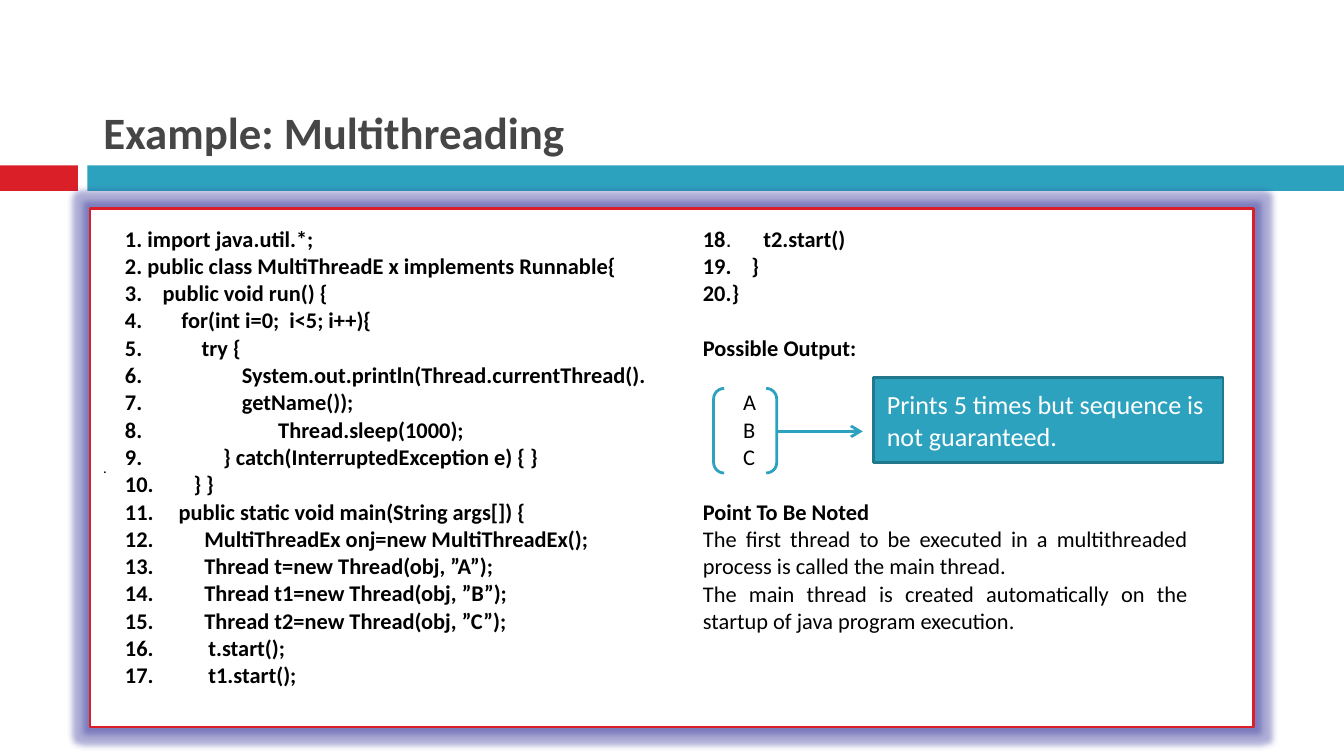
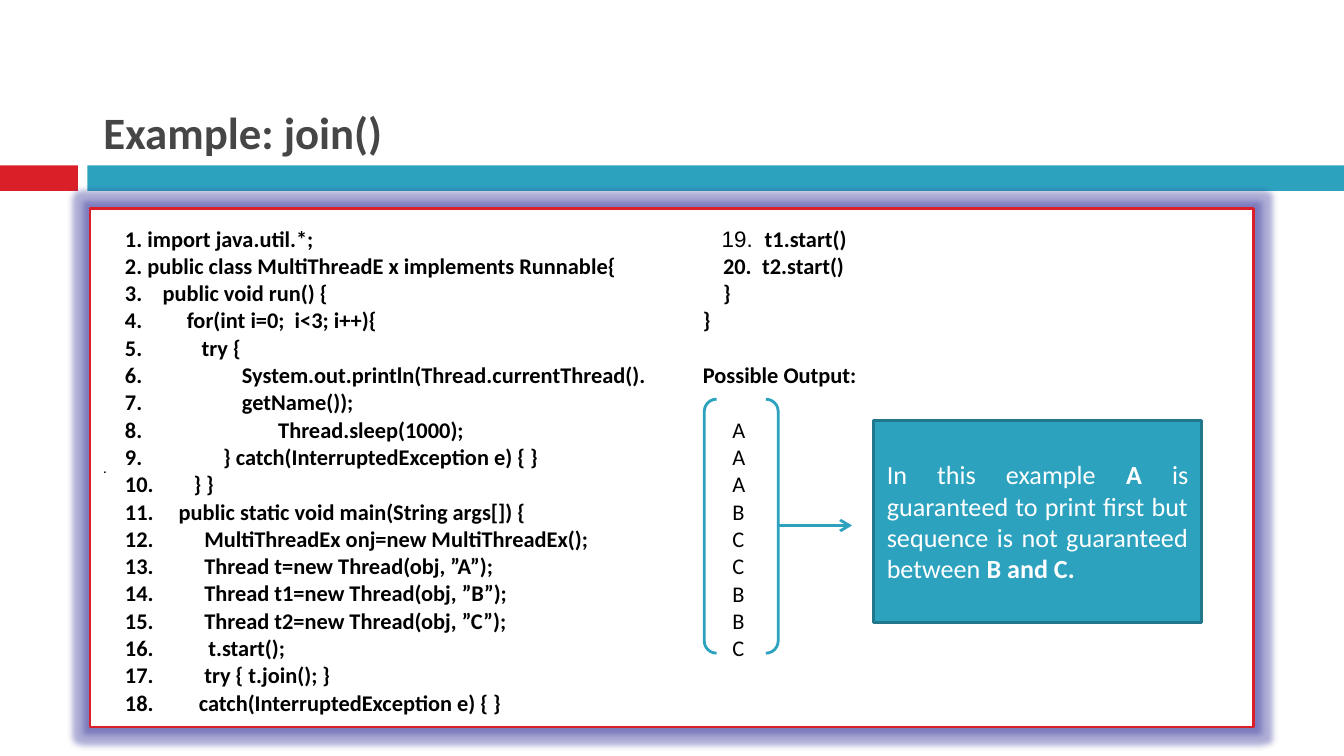
import pptx
import pptx.dml.color
import pptx.enum.shapes
import pptx.enum.text
import pptx.oxml
import pptx.oxml.ns
import pptx.util
from lxml import etree

Inches = pptx.util.Inches
Pt = pptx.util.Pt
rgb = pptx.dml.color.RGBColor.from_string
qn = pptx.oxml.ns.qn
Shape = pptx.enum.shapes.MSO_SHAPE
Align = pptx.enum.text.PP_ALIGN
Anchor = pptx.enum.text.MSO_ANCHOR

RED, TEAL, EDGE, GLOW = "DA1F28", "2DA2BF", "21788D", "333399"
GRAY, BLACK, WHITE = "464646", "000000", "FFFFFF"
FONT = "Calibri"
LINE = 14.65


def write(frame, text, size=12, bold=False, color=BLACK, align=Align.LEFT,
          left=0, hang=0, before=0):
    para = frame.paragraphs[0]
    if para.runs:
        para = frame.add_paragraph()
    para.alignment = align
    para.space_before = Pt(before)
    props = para._p.get_or_add_pPr()
    props.set("marL", str(Inches(left)))
    props.set("indent", str(Inches(-hang)))
    runs = [(text, bold, FONT)] if isinstance(text, str) else text
    for words, heavy, face in runs:
        run = para.add_run()
        run.text = words
        run.font.name = face
        run.font.size = Pt(size)
        run.font.bold = heavy
        run.font.color.rgb = rgb(color)


def block(slide, kind, at, fill=None, line=None):
    shape = slide.shapes.add_shape(kind, *[Inches(n) for n in at])
    shape.shadow.inherit = False
    if fill:
        shape.fill.solid()
        shape.fill.fore_color.rgb = rgb(fill)
    else:
        shape.fill.background()
    if line:
        shape.line.color.rgb = rgb(line)
        shape.line.width = Pt(1.5)
    else:
        shape.line.fill.background()
    shape.text_frame.word_wrap = True
    shape.text_frame.vertical_anchor = Anchor.MIDDLE
    return shape


start = [
    ("1. import java.util.*;", 0),
    ("2. public class MultiThreadE x implements Runnable{", 0),
    ("3.\tpublic void run() {", 0.28),
]
loop = [
    ("5.\ttry {", 0.57),
    ("6.\tSystem.out.println(Thread.currentThread().", 0.87),
    ("7.\tgetName());", 0.87),
    ("8.\tThread.sleep(1000);", 1.14),
    ("9.\t} catch(InterruptedException e) { }", 0.73),
    ("10.\t} }", 0.51),
    ("11.\tpublic static void main(String args[]) {", 0.4),
    ("12.\tMultiThreadEx onj=new MultiThreadEx();", 0.59),
    ("13.\tThread t=new Thread(obj, ”A”);", 0.59),
    ("14.\tThread t1=new Thread(obj, ”B”);", 0.59),
    ("15.\tThread t2=new Thread(obj, ”C”);", 0.59),
    ("16.\tt.start();", 0.62),
]

B = {"bold": True}
GAP = {"before": LINE}
JUST = {"align": Align.JUSTIFY}

pages = [
    {
        "title": "Example: Multithreading",
        "code": start + [("4.\tfor(int i=0;  i<5; i++){", 0.42)] + loop
        + [("17.\tt1.start();", 0.62)],
        "side": [
            ([("18", True, FONT), (".\t", False, "Arial"),
              ("t2.start()", True, FONT)], {"left": 0.45, "hang": 0.45}),
            ("19.\t}", B | {"left": 0.36, "hang": 0.36}),
            ("20.}", B),
            ("Possible Output:", B | GAP),
        ],
        "out": "ABC",
        "left": 0.3,
        "notes": [
            ("Point To Be Noted", B | GAP),
            ("The first thread to be executed in a multithreaded process "
             "is called the main thread.", JUST),
            ("The main thread is created automatically on the startup of "
             "java program execution.", JUST),
        ],
        "box": (6.5, 2.81, 2.6, 0.63),
        "hint": "Prints 5 times but sequence is not guaranteed.",
        "align": Align.LEFT,
        "pair": (5.31, 2.89, 0.47, 0.63),
        "arrow": (5.79, 6.42, 3.21),
    },
    {
        "title": "Example: join()",
        "code": start + [("4.\tfor(int i=0;  i<3; i++){", 0.46)] + loop
        + [("17.\ttry { t.join(); }", 0.59),
           ("18.\tcatch(InterruptedException e) { }", 0.55)],
        "side": [
            ([("19.\t", False, "Arial"), ("t1.start()", True, FONT)],
             {"left": 0.46, "hang": 0.32}),
            ("20.\tt2.start()", B | {"left": 0.44, "hang": 0.29}),
            ("}", B | {"left": 0.15}),
            ("}", B),
            ("Possible Output:", B | GAP),
        ],
        "out": "AAABCCBBC",
        "left": 0.22,
        "notes": [],
        "box": (6.5, 3.13, 2.44, 1.5),
        "hint": [
            ("In this example ", False, FONT),
            ("A ", True, FONT),
            ("is guaranteed to print first but sequence is not guaranteed "
             "between ", False, FONT),
            ("B and C.", True, FONT),
        ],
        "align": Align.JUSTIFY,
        "pair": (5.24, 2.97, 0.55, 1.89),
        "arrow": (5.79, 6.34, 3.91),
    },
]

deck = pptx.Presentation()
deck.slide_width = Inches(10)
deck.slide_height = Inches(10 * 9 / 16)

for page in pages:
    slide = deck.slides.add_slide(deck.slide_layouts[5])
    block(slide, Shape.RECTANGLE, (0, 1.23, 0.58, 0.19), RED)
    block(slide, Shape.RECTANGLE, (0.65, 1.23, 9.35, 0.19), TEAL)

    title = slide.shapes.title
    title.left, title.top = Inches(0.67), Inches(0.13)
    title.width, title.height = Inches(9.33), Inches(1.1)
    title.text_frame.vertical_anchor = Anchor.BOTTOM
    write(title.text_frame, page["title"], size=24, bold=True, color=GRAY)

    panel = block(slide, Shape.RECTANGLE, (0.67, 1.55, 8.66, 3.86), WHITE, RED)
    write(panel.text_frame, ".", size=8, before=7)
    glow = etree.SubElement(panel._element.spPr.find(qn("a:effectLst")),
                            qn("a:glow"), rad=str(Pt(6)))
    tint = etree.SubElement(glow, qn("a:srgbClr"), val=GLOW)
    etree.SubElement(tint, qn("a:alpha"), val="40000")

    frame = slide.shapes.add_table(1, 2, Inches(0.83), Inches(1.63),
                                   Inches(8.11), Inches(3.62))
    table = frame.table
    table.first_row = table.horz_banding = False
    for col, width in zip(table.columns, (4.3, 3.81)):
        col.width = Inches(width)
    code, side = table.cell(0, 0), table.cell(0, 1)
    for cell in (code, side):
        cell.fill.background()
    for text, stop in page["code"]:
        write(code.text_frame, text, bold=True, left=stop, hang=stop)
    for text, form in page["side"]:
        write(side.text_frame, text, **form)
    for num, name in enumerate(page["out"]):
        write(side.text_frame, name, left=page["left"],
              before=0 if num else LINE)
    for text, form in page["notes"]:
        write(side.text_frame, text, **form)

    box = block(slide, Shape.RECTANGLE, page["box"], TEAL, EDGE)
    write(box.text_frame, page["hint"], size=14, color=WHITE,
          align=page["align"])
    block(slide, Shape.DOUBLE_BRACKET, page["pair"], line=TEAL)

    x1, x2, y = [Inches(n) for n in page["arrow"]]
    arrow = slide.shapes.add_connector(
        pptx.enum.shapes.MSO_CONNECTOR.STRAIGHT, x1, y, x2, y)
    arrow.line.color.rgb = rgb(TEAL)
    arrow.line.width = Pt(1.5)
    etree.SubElement(arrow.line._get_or_add_ln(), qn("a:tailEnd"), type="arrow")
    etree.SubElement(arrow._element.spPr, qn("a:effectLst"))

deck.save("out.pptx")
